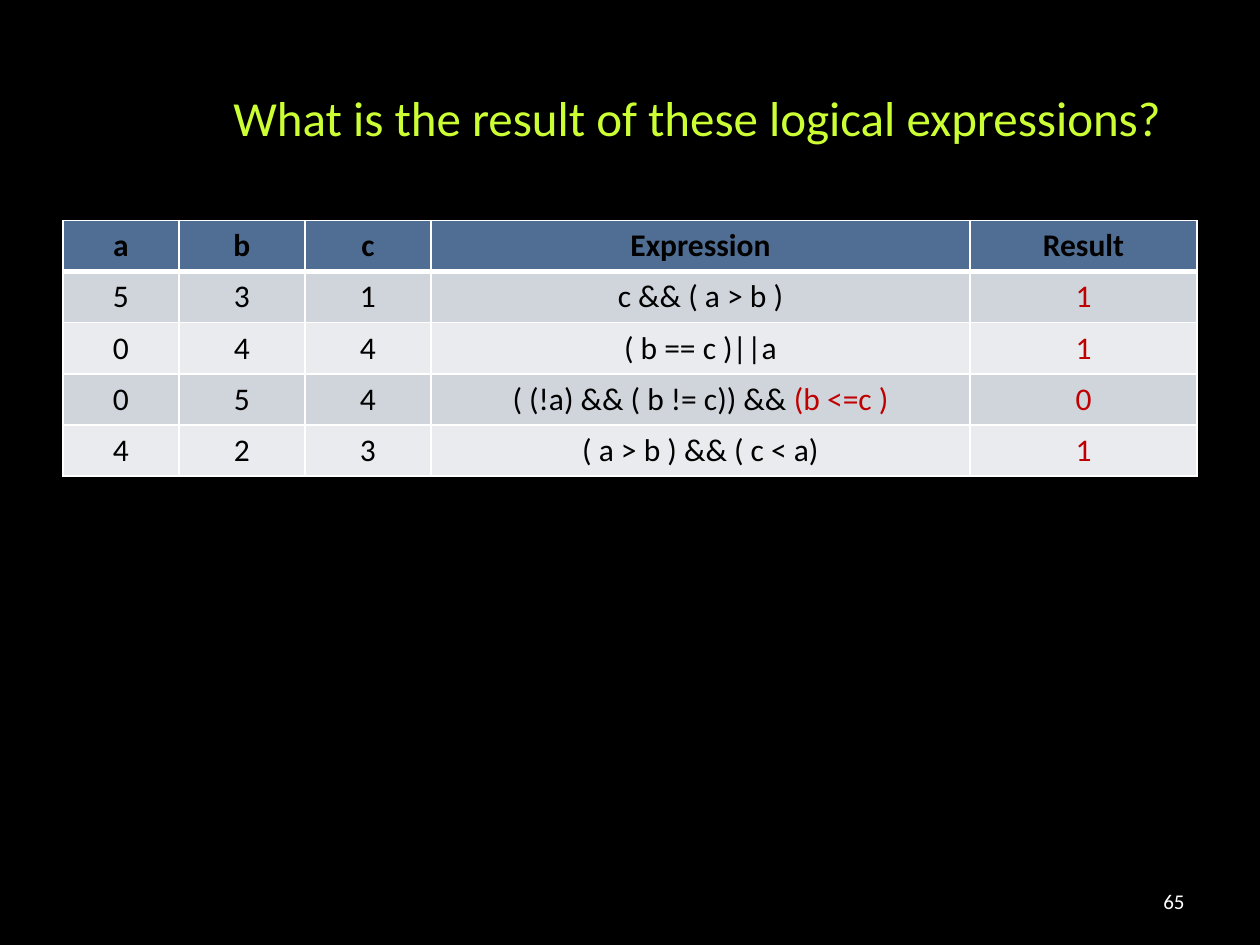
from lxml.etree import SubElement
from pptx import Presentation
from pptx.dml.color import RGBColor
from pptx.enum.text import MSO_ANCHOR as Anchor, PP_ALIGN as Align
from pptx.oxml.ns import qn
from pptx.util import Pt

# Content: each cell is a list of (text, is_answer) runs
TITLE = "What is the result of these logical expressions?"
PAGE_NUMBER = "65"
HEADINGS = ["a", "b", "c", "Expression", "Result"]
EXERCISES = [
    ("5", "3", "1", [("c && ( a > b )", False)], "1"),
    ("0", "4", "4", [("( b == c )||a", False)], "1"),
    ("0", "5", "4", [("( (!a) && ( b != c)) && ", False), ("(b <=c )", True)], "0"),
    ("4", "2", "3", [("( a > b ) && ( c < a)", False)], "1"),
]

# Look
BLACK = RGBColor(0x00, 0x00, 0x00)
WHITE = RGBColor(0xFF, 0xFF, 0xFF)
LIME = RGBColor(0xCC, 0xFF, 0x33)
RED = RGBColor(0xC0, 0x00, 0x00)
HEADER_BLUE = RGBColor(0x50, 0x6E, 0x94)
BANDS = [RGBColor(0xD0, 0xD5, 0xDC), RGBColor(0xE9, 0xEB, 0xEE)]
FONT = "Calibri"
COLUMN_WIDTHS = [66.24, 72, 72, 308.16, 129.6]
ROW_HEIGHT = 29.2
THIN, THICK = 1, 3


def add_run(paragraph, text, color, **formats):
    run = paragraph.add_run()
    run.text = text
    for name, value in {"name": FONT, **formats}.items():
        setattr(run.font, name, value)
    run.font.color.rgb = color


def place(shape, left, top, width, height):
    box = {"left": left, "top": top, "width": width, "height": height}
    for name, value in box.items():
        setattr(shape, name, Pt(value))


def add_borders(cell, widths):
    properties = cell._tc.get_or_add_tcPr()
    for side, width in widths.items():
        line = SubElement(properties, qn(f"a:ln{side}"), w=str(Pt(width)))
        fill = SubElement(line, qn("a:solidFill"))
        SubElement(fill, qn("a:srgbClr"), val=str(WHITE))


def fill_cell(cell, runs, fill, borders, bold):
    add_borders(cell, borders)
    cell.fill.solid()
    cell.fill.fore_color.rgb = fill
    paragraph = cell.text_frame.paragraphs[0]
    paragraph.alignment = Align.CENTER
    for text, is_answer in runs:
        add_run(paragraph, text, RED if is_answer else BLACK, size=Pt(18), bold=bold)


def main():
    deck = Presentation()
    deck.slide_width, deck.slide_height = Pt(720), Pt(540)
    slide = deck.slides.add_slide(deck.slide_layouts[5])
    slide.background.fill.solid()
    slide.background.fill.fore_color.rgb = BLACK

    # Title
    title = slide.shapes.title
    place(title, 112.5, 21.6, 571.5, 90)
    title.text_frame.vertical_anchor = Anchor.MIDDLE
    question = title.text_frame.paragraphs[0]
    question.alignment = Align.CENTER
    add_run(question, TITLE, LIME, size=Pt(28))

    # Table of exercises
    rows = [[[(heading, False)] for heading in HEADINGS]]
    for *values, expression, result in EXERCISES:
        rows.append([[(v, False)] for v in values] + [expression, [(result, True)]])
    table = slide.shapes.add_table(
        len(rows), len(HEADINGS), Pt(36), Pt(126),
        Pt(sum(COLUMN_WIDTHS)), Pt(ROW_HEIGHT * len(rows))).table
    for column, width in zip(table.columns, COLUMN_WIDTHS):
        column.width = Pt(width)
    for r, row in enumerate(rows):
        table.rows[r].height = Pt(ROW_HEIGHT)
        fill = BANDS[(r - 1) % 2] if r else HEADER_BLUE
        borders = {"L": THIN, "R": THIN,
                   "T": THICK if r == 1 else THIN,
                   "B": THICK if r == 0 else THIN}
        for c, runs in enumerate(row):
            fill_cell(table.cell(r, c), runs, fill, borders, bold=r == 0)

    # Page number
    footer = slide.shapes.add_textbox(Pt(516), Pt(500.4), Pt(168), Pt(28.8)).text_frame
    footer.word_wrap = True
    footer.vertical_anchor = Anchor.MIDDLE
    footer.paragraphs[0].alignment = Align.RIGHT
    add_run(footer.paragraphs[0], PAGE_NUMBER, WHITE, size=Pt(12))

    deck.save("out.pptx")


if __name__ == "__main__":
    main()
